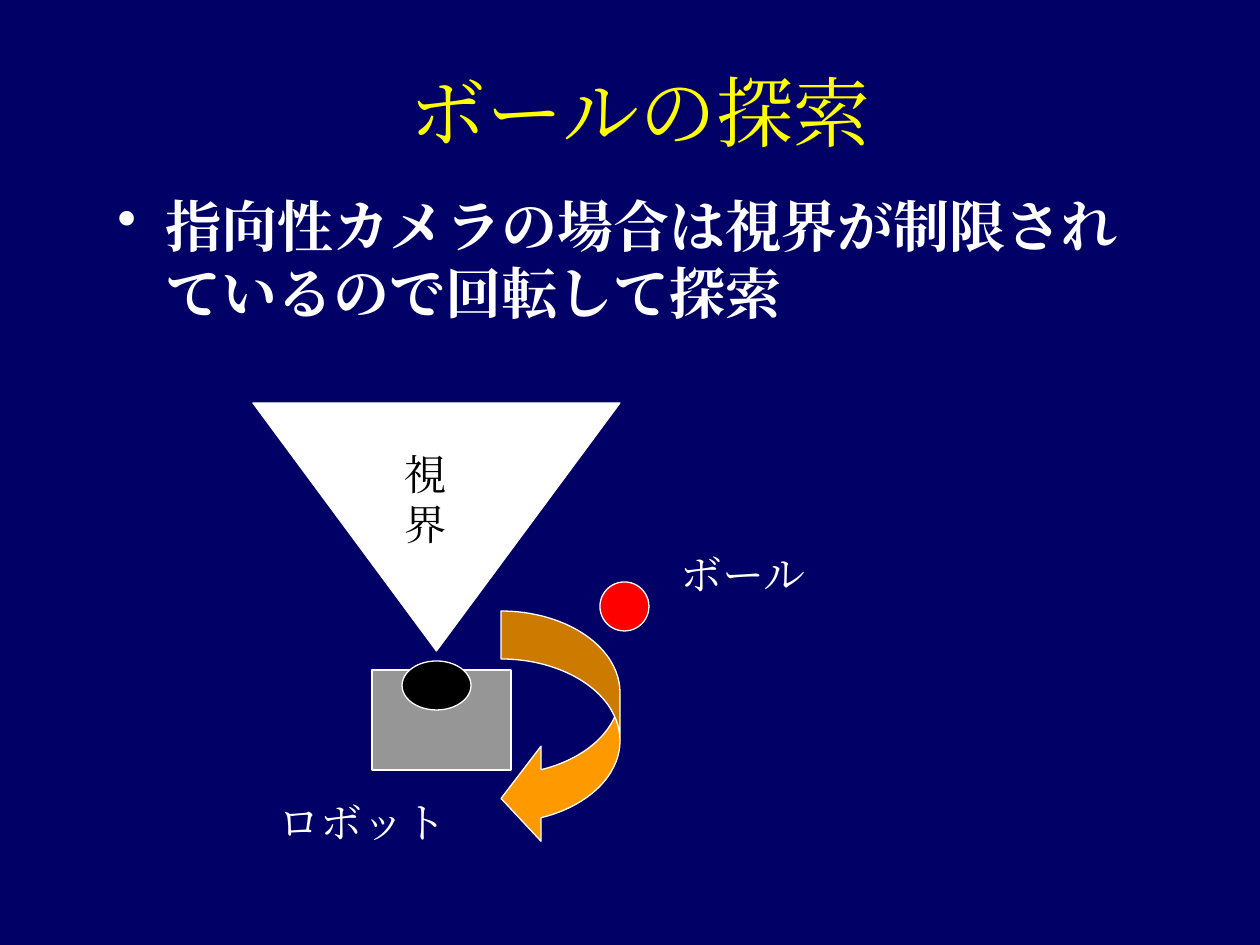
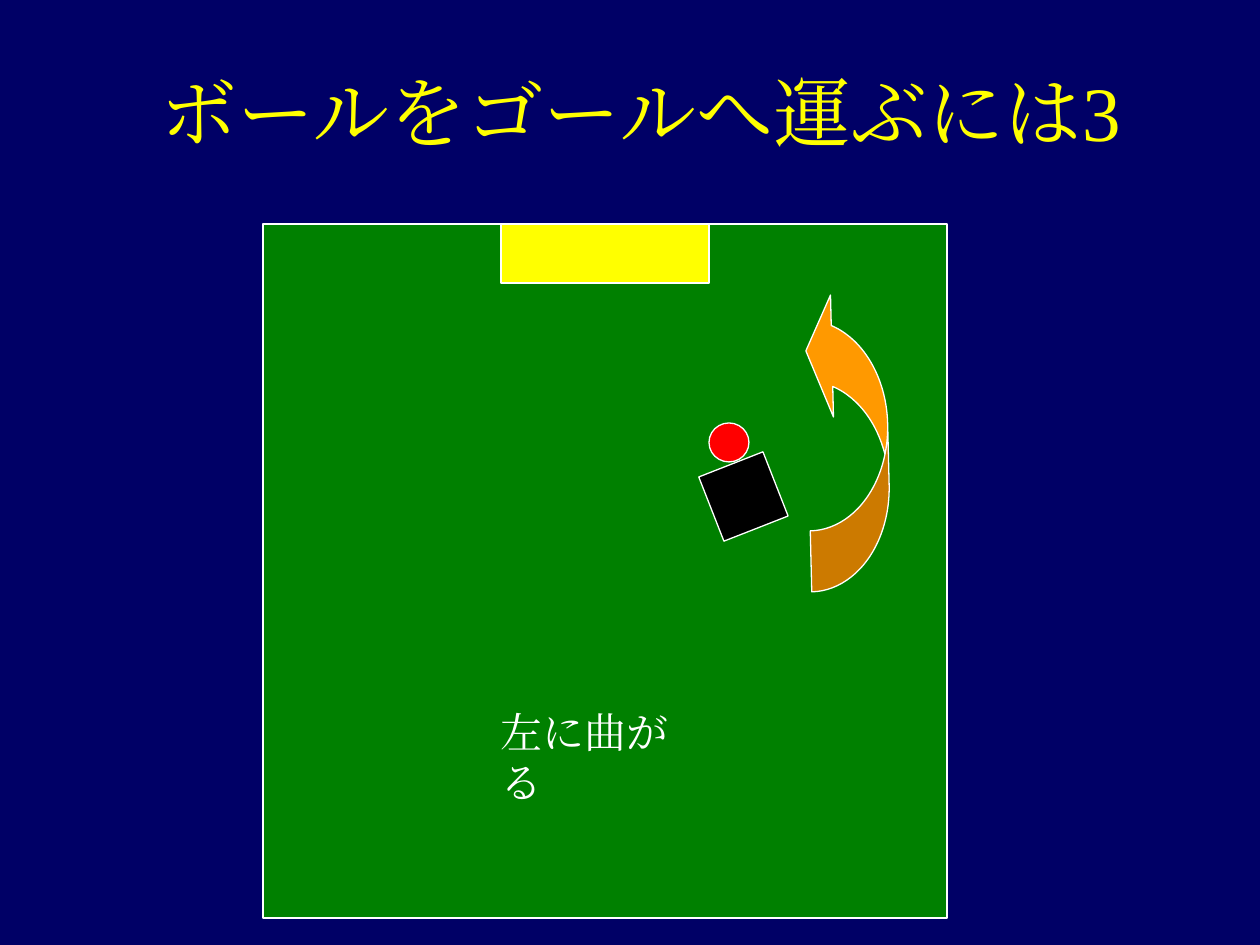
from dataclasses import dataclass

from lxml.etree import SubElement
from pptx import Presentation
from pptx.dml.color import RGBColor
from pptx.enum.lang import MSO_LANGUAGE_ID as Language
from pptx.enum.shapes import MSO_SHAPE as Preset
from pptx.enum.text import MSO_ANCHOR as Anchor, MSO_AUTO_SIZE as AutoSize, PP_ALIGN as Align
from pptx.oxml.ns import qn
from pptx.util import Pt

EMU_PER_PX = 914400 / 126


def px(length):
    return round(length * EMU_PER_PX)


@dataclass(frozen=True)
class Theme:
    font: str = "Times New Roman"
    title_size: int = 44
    body_size: int = 32
    label_size: int = 24
    line_width: float = 0.75
    navy: str = "000066"
    yellow: str = "FFFF00"
    white: str = "FFFFFF"
    black: str = "000000"
    red: str = "FF0000"
    grey: str = "969696"
    green: str = "008000"
    orange: str = "FF9900"


@dataclass(frozen=True)
class Box:
    left: int
    top: int
    width: int
    height: int

    def inner(self, left, top, width, height):
        return Box(self.left + left, self.top + top, width, height)

    def emu(self):
        return [px(side) for side in (self.left, self.top, self.width, self.height)]


THEME = Theme()
PAGE = Box(0, 0, 1260, 945)
TITLE = Box(105, 32, 1071, 158)
BODY = Box(105, 185, 1071, 651)
SEARCH_SCENE = Box(253, 403, 566, 450)
FIELD = Box(263, 224, 684, 694)


# Shared parts
def add_page(deck, title):
    page = deck.slides.add_slide(deck.slide_layouts[6])
    page.background.fill.solid()
    page.background.fill.fore_color.rgb = RGBColor.from_string(THEME.navy)
    frame = add_frame(page, TITLE)
    frame.vertical_anchor = Anchor.MIDDLE
    para = frame.paragraphs[0]
    para.alignment = Align.CENTER
    add_span(para, title, THEME.title_size, THEME.yellow)
    return page


def add_frame(page, box):
    frame = page.shapes.add_textbox(*box.emu()).text_frame
    frame.word_wrap = True
    return frame


def add_span(para, text, size, color, bold=False):
    span = para.add_run()
    span.text = text
    font = span.font
    font.size = Pt(size)
    font.bold = bold
    font.color.rgb = RGBColor.from_string(color)
    font.name = THEME.font
    font.language_id = Language.JAPANESE
    SubElement(span._r.rPr, qn("a:ea")).set("typeface", THEME.font)


def add_bullet(page, box, text):
    para = add_frame(page, box).paragraphs[0]
    props = para._p.get_or_add_pPr()
    props.set("marL", str(px(48)))
    props.set("indent", str(px(-48)))
    SubElement(props, qn("a:buChar")).set("char", "•")
    add_span(para, text, THEME.body_size, THEME.white, bold=True)


def add_label(page, box, text, color=THEME.white):
    frame = add_frame(page, box)
    frame.word_wrap = False
    frame.auto_size = AutoSize.SHAPE_TO_FIT_TEXT
    add_span(frame.paragraphs[0], text, THEME.label_size, color)


def add_part(page, preset, box, color, rotation=0, flipped=False):
    part = page.shapes.add_shape(preset, *box.emu())
    part.shadow.inherit = False
    part.fill.solid()
    part.fill.fore_color.rgb = RGBColor.from_string(color)
    part.line.color.rgb = RGBColor.from_string(THEME.white)
    part.line.width = Pt(THEME.line_width)
    part.rotation = rotation
    if flipped:
        part._element.spPr.xfrm.set("flipV", "1")
    return part


def add_turn_arrow(page, box, thickness, head_width, head_length, **turn):
    arrow = add_part(page, Preset.CURVED_LEFT_ARROW, box, THEME.orange, **turn)
    for index, length in enumerate((thickness, head_width, head_length)):
        arrow.adjustments[index] = length / box.width


# Robot turning to look for the ball
def draw_search(page, box):
    add_part(page, Preset.OVAL, box.inner(347, 179, 49, 49), THEME.red)
    add_part(page, Preset.RECTANGLE, box.inner(119, 267, 139, 100), THEME.grey)
    add_part(page, Preset.ISOSCELES_TRIANGLE, box.inner(0, 0, 367, 248), THEME.white, flipped=True)
    add_turn_arrow(page, box.inner(248, 208, 119, 235), 48, 95, 40)
    add_part(page, Preset.OVAL, box.inner(149, 258, 69, 49), THEME.black)
    add_label(page, box.inner(139, 39, 108, 63), "視界", THEME.black)
    add_label(page, box.inner(13, 387, 193, 63), "ロボット")
    add_label(page, box.inner(415, 139, 151, 63), "ボール")


# Robot carrying the ball round to the goal
def draw_field(page, box):
    add_part(page, Preset.RECTANGLE, box, THEME.green)
    add_part(page, Preset.RECTANGLE, box.inner(238, 0, 208, 59), THEME.yellow)
    add_part(page, Preset.OVAL, box.inner(446, 199, 40, 39), THEME.red)
    add_part(page, Preset.RECTANGLE, box.inner(446, 238, 69, 69), THEME.black, rotation=338.6)
    add_turn_arrow(page, box.inner(545, 65, 80, 302), 61, 122, 26, rotation=358.6, flipped=True)
    add_label(page, box.inner(225, 476, 234, 63), "左に曲がる")


def main():
    deck = Presentation()
    deck.slide_width, deck.slide_height = px(PAGE.width), px(PAGE.height)

    page = add_page(deck, "ボールの探索")
    add_bullet(page, BODY, "指向性カメラの場合は視界が制限されているので回転して探索")
    draw_search(page, SEARCH_SCENE)

    page = add_page(deck, "ボールをゴールへ運ぶには3")
    draw_field(page, FIELD)

    deck.save("out.pptx")


if __name__ == "__main__":
    main()
